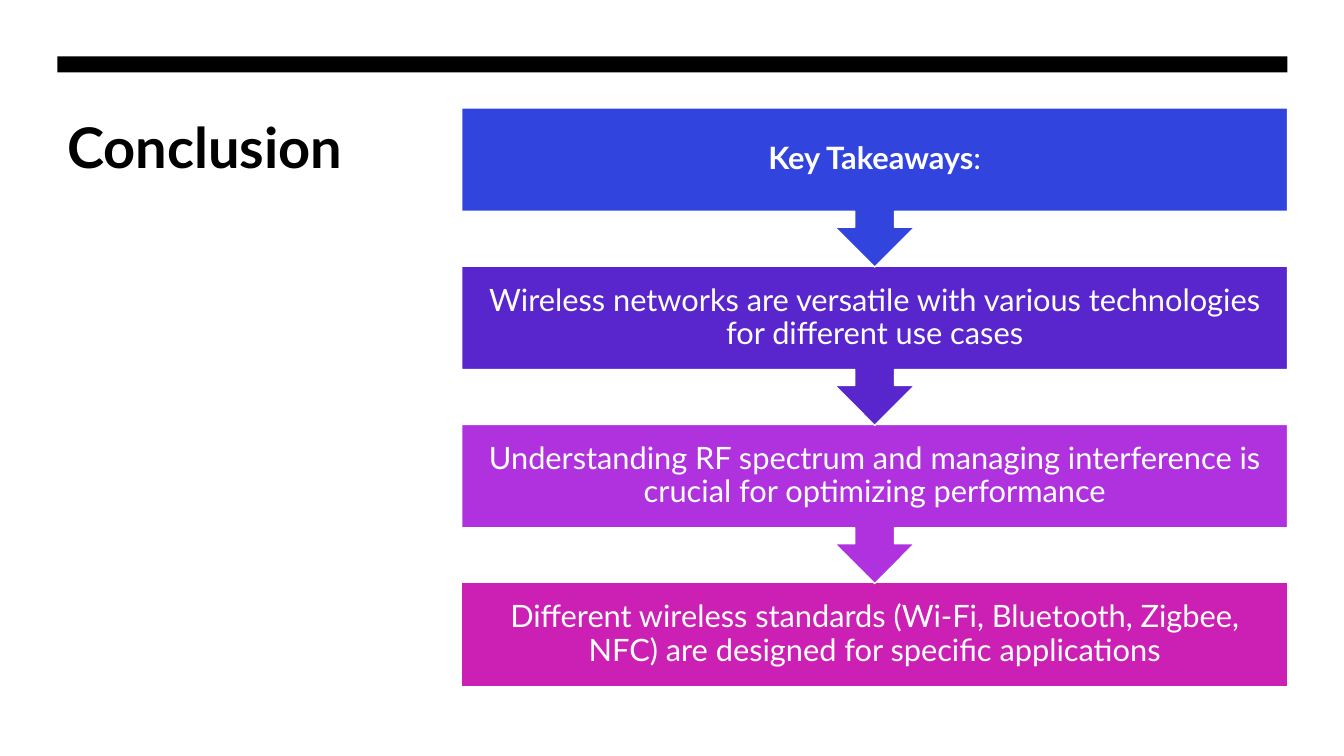
import pptx
import pptx.util
import pptx.dml.color
import pptx.enum.shapes
import pptx.enum.text
from dataclasses import dataclass

Inches = pptx.util.Inches
Pt = pptx.util.Pt
RGB = pptx.dml.color.RGBColor.from_string
MSO_SHAPE = pptx.enum.shapes.MSO_SHAPE
PP_ALIGN = pptx.enum.text.PP_ALIGN
MSO_ANCHOR = pptx.enum.text.MSO_ANCHOR


@dataclass(frozen=True)
class Theme:
    font: str = "Lato"
    ink: str = "000000"
    paper: str = "FFFFFF"
    steps: tuple = ("3244DE", "5926CD", "AF32DE", "CC20B4")
    title_size: int = 40
    step_size: int = 22


class Deck:
    """Holds the theme and the current slide."""

    def __init__(self, prs, theme):
        self.theme = theme
        self.s = prs.slides.add_slide(prs.slide_layouts[6])
        fill = self.s.background.fill
        fill.solid()
        fill.fore_color.rgb = RGB(theme.paper)

    def add_text(self, sp, runs, size, color, frame, para):
        """Fill a shape with one paragraph of (text, bold) runs."""
        tf = sp.text_frame
        p = tf.paragraphs[0]
        for target, values in ((tf, frame), (p, para)):
            for name, value in values.items():
                setattr(target, name, value)
        for text, bold in runs:
            r = p.add_run()
            r.text = text
            fmt = {"name": self.theme.font, "size": Pt(size), "bold": bold}
            for name, value in fmt.items():
                setattr(r.font, name, value)
            r.font.color.rgb = RGB(color)

    def shape(self, kind, box, color, outline=None):
        sp = self.s.shapes.add_shape(kind, *map(Inches, box))
        sp.shadow.inherit = False
        sp.fill.solid()
        sp.fill.fore_color.rgb = RGB(color)
        if outline:
            sp.line.color.rgb = RGB(outline)
            sp.line.width = Pt(1)
        else:
            sp.line.fill.background()
        return sp

    def title(self, text, box):
        sp = self.s.shapes.add_textbox(*map(Inches, box))
        frame = {"word_wrap": True, "vertical_anchor": MSO_ANCHOR.TOP}
        self.add_text(sp, [(text, True)], self.theme.title_size,
                      self.theme.ink, frame, {"alignment": PP_ALIGN.LEFT})

    def step(self, kind, runs, box, color):
        sp = self.shape(kind, box, color, self.theme.paper)
        sides = ("left", "top", "right", "bottom")
        frame = {f"margin_{side}": Inches(0.17) for side in sides}
        frame.update(word_wrap=True, vertical_anchor=MSO_ANCHOR.MIDDLE)
        self.add_text(sp, runs, self.theme.step_size, self.theme.paper, frame,
                      {"alignment": PP_ALIGN.CENTER, "line_spacing": 0.9})


STEPS = [
    [("Key Takeaways", True), (":", False)],
    [("Wireless networks are versatile with various technologies "
      "for different use cases", False)],
    [("Understanding RF spectrum and managing interference is "
      "crucial for optimizing performance", False)],
    [("Different wireless standards (Wi-Fi, Bluetooth, Zigbee, NFC) "
      "are designed for specific applications", False)],
]


def main():
    prs = pptx.Presentation()
    prs.slide_width, prs.slide_height = Inches(13.33), Inches(7.5)
    theme = Theme()
    deck = Deck(prs, theme)

    # Heading and top bar
    left, top = 0.57, 1.07
    deck.title("Conclusion", (left, top, 3.45, 4.45))
    deck.shape(MSO_SHAPE.RECTANGLE, (left, 0.56, 12.2, 0.16), theme.ink)

    # Takeaways, drawn from the bottom up so each arrow overlaps the next box
    pitch, last = 1.57, len(STEPS) - 1
    for i in range(last, -1, -1):
        if i == last:
            kind, height = MSO_SHAPE.RECTANGLE, 1.03
        else:
            kind, height = MSO_SHAPE.DOWN_ARROW_CALLOUT, 1.58
        deck.step(kind, STEPS[i], (4.58, top + i * pitch, 8.19, height),
                  theme.steps[i])

    prs.save("out.pptx")


if __name__ == "__main__":
    main()
